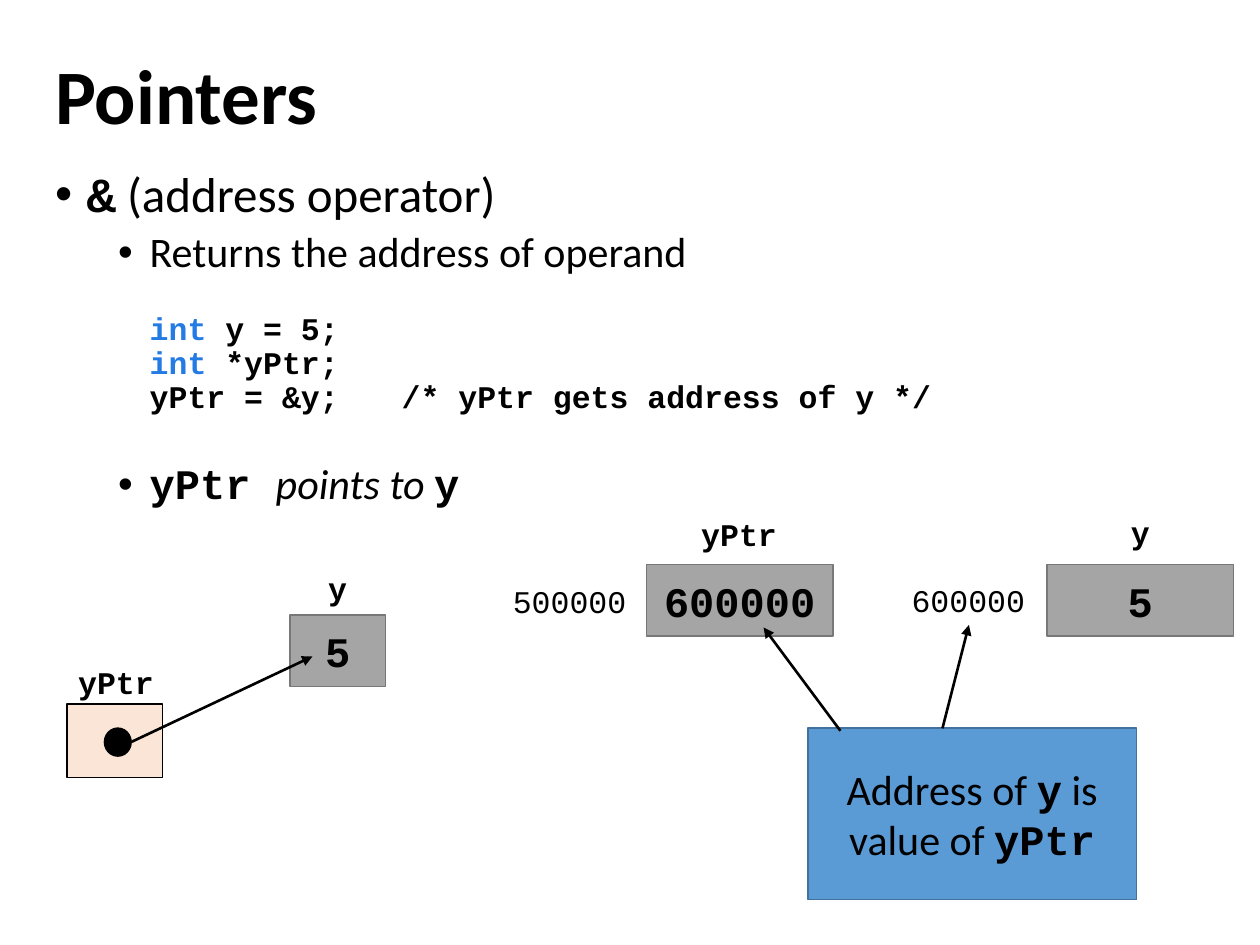
from lxml import etree
from pptx import Presentation
from pptx import util as u
from pptx.dml.color import RGBColor
from pptx.enum import shapes, text
from pptx.oxml.ns import qn

SANS, MONO = "Calibri", "Courier New"
BLACK, GRAY, GRAY_EDGE = "000000", "A5A5A5", "787878"
PEACH, BLUE, BLUE_EDGE, KEYWORD = "FBE5D6", "5B9BD5", "41719C", "247BE4"
CODE = {"name": MONO, "bold": True}
INT = ("int ", {"color": KEYWORD})


def rgb(value):
    return RGBColor.from_string(value)


def set_font(font, size=None, name=None, color=None, bold=None, italic=None):
    if size:
        font.size = u.Pt(size)
    if name:
        font.name = name
    if color:
        font.color.rgb = rgb(color)
    if bold is not None:
        font.bold = bold
    if italic is not None:
        font.italic = italic


def write(paragraph, runs, size, name=SANS, color=BLACK, bold=False):
    """Runs are (text, font differences) pairs."""
    set_font(paragraph.font, size, name, color, bold)
    for words, differences in runs:
        run = paragraph.add_run()
        run.text = words
        set_font(run.font, **differences)


def add_text(slide, left, top, width, height, anchor=text.MSO_ANCHOR.TOP):
    box = slide.shapes.add_textbox(*map(u.Inches, (left, top, width, height)))
    frame = box.text_frame
    frame.word_wrap = True
    frame.vertical_anchor = anchor
    return frame


def add_label(slide, words, left, top, width, bold=True):
    paragraph = add_text(slide, left, top, width, 0.4).paragraphs[0]
    paragraph.alignment = text.PP_ALIGN.CENTER
    write(paragraph, [(words, {})], 18, MONO, bold=bold)


def add_block(slide, left, top, width, height, fill, edge, runs=(),
              kind=shapes.MSO_SHAPE.RECTANGLE, **font):
    shape = slide.shapes.add_shape(kind, *map(u.Inches, (left, top, width, height)))
    shape.shadow.inherit = False
    shape.fill.solid()
    shape.fill.fore_color.rgb = rgb(fill)
    shape.line.color.rgb = rgb(edge)
    shape.line.width = u.Pt(1)
    if runs:
        shape.text_frame.word_wrap = True
        shape.text_frame.vertical_anchor = text.MSO_ANCHOR.MIDDLE
        paragraph = shape.text_frame.paragraphs[0]
        paragraph.alignment = text.PP_ALIGN.CENTER
        write(paragraph, runs, 24, **font)


def add_cell(slide, value, left, top, width):
    add_block(slide, left, top, width, 0.57, GRAY, GRAY_EDGE, [(value, {})], **CODE)


def add_arrow(slide, x1, y1, x2, y2):
    arrow = slide.shapes.add_connector(
        shapes.MSO_CONNECTOR.STRAIGHT, *map(u.Inches, (x1, y1, x2, y2)))
    arrow.line.color.rgb = rgb(BLACK)
    arrow.line.width = u.Pt(1.5)
    etree.SubElement(arrow.line._get_or_add_ln(), qn("a:tailEnd"), type="triangle")
    etree.SubElement(arrow._element.spPr, qn("a:effectLst"))


def set_indent(paragraph, margin, bullet=False, tab=None):
    properties = paragraph._p.get_or_add_pPr()
    properties.set("marL", str(u.Inches(margin)))
    properties.set("indent", str(u.Inches(-0.25 if bullet else 0)))
    extras = []
    if bullet:
        extras += [etree.Element(qn("a:buFont"), typeface="Arial"),
                   etree.Element(qn("a:buChar"), char="•")]
    else:
        extras.append(etree.Element(qn("a:buNone")))
    if tab:
        stops = etree.Element(qn("a:tabLst"))
        etree.SubElement(stops, qn("a:tab"), pos=str(u.Inches(tab)), algn="l")
        extras.append(stops)
    # These come before the paragraph's default font
    default_font = properties.find(qn("a:defRPr"))
    for extra in extras:
        default_font.addprevious(extra)


def add_title(slide, left, top, width, height):
    frame = add_text(slide, left, top, width, height, text.MSO_ANCHOR.MIDDLE)
    paragraph = frame.paragraphs[0]
    paragraph.line_spacing = 0.9
    write(paragraph, [("Pointers", {})], 44, bold=True)


def add_body(slide, left, top, width, height):
    frame = add_text(slide, left, top, width, height)
    plain = {"name": SANS, "bold": False}
    # Runs, size, margin, space before, bullet, font
    rows = [
        ([("&", CODE), (" (address operator)", {})], 28, 0.25, 10, True, {}),
        ([("Returns the address of operand", {})], 24, 0.75, 5, True, {}),
        ([INT, ("y = 5;", {})], 18, 0.75, 20.5, False, CODE),
        ([INT, ("*yPtr;", {})], 18, 0.75, 0, False, CODE),
        ([("yPtr = &y;\t/* yPtr gets address of y */", {})], 18, 0.75, 0, False, CODE),
        ([("yPtr ", {}), ("points to ", {**plain, "italic": True}), ("y", {})],
         24, 0.75, 28, True, CODE),
    ]
    for index, (runs, size, margin, before, bullet, font) in enumerate(rows):
        paragraph = frame.paragraphs[0] if index == 0 else frame.add_paragraph()
        paragraph.level = 0 if index == 0 else 1
        paragraph.line_spacing = 0.9 if bullet else u.Pt(19.4)
        paragraph.space_before = u.Pt(before)
        write(paragraph, runs, size, **font)
        set_indent(paragraph, margin, bullet, tab=None if bullet else 2)


def add_pointer_diagram(slide, left, top):
    # Variable y
    add_cell(slide, "5", left + 1.87, top + 0.41, 0.76)
    add_label(slide, "y", left + 1.87, top, 0.76)
    # Pointer variable with its dot and arrow
    add_block(slide, left + 0.1, top + 1.12, 0.76, 0.58, PEACH, BLACK)
    add_label(slide, "yPtr", left, top + 0.74, 0.98)
    add_block(slide, left + 0.4, top + 1.31, 0.21, 0.22, BLACK, BLACK,
              kind=shapes.MSO_SHAPE.OVAL)
    add_arrow(slide, left + 0.61, top + 1.42, left + 2.05, top + 0.74)


def add_memory_diagram(slide, left, top):
    # Memory cells with names and addresses
    add_cell(slide, "600000", left + 1.27, top + 0.46, 1.48)
    add_cell(slide, "5", left + 4.45, top + 0.46, 1.48)
    add_label(slide, "y", left + 4.45, top, 1.48)
    add_label(slide, "yPtr", left + 1.16, top + 0.02, 1.69)
    add_label(slide, "600000", left + 3.26, top + 0.54, 1.13, bold=False)
    add_label(slide, "500000", left, top + 0.55, 1.32, bold=False)
    # Explanation and its arrows
    add_block(slide, left + 2.55, top + 1.76, 2.61, 1.36, BLUE, BLUE_EDGE,
              [("Address of ", {}), ("y", CODE), (" is value of ", {}), ("yPtr", CODE)])
    add_arrow(slide, left + 3.62, top + 1.76, left + 3.83, top + 0.94)
    add_arrow(slide, left + 2.81, top + 1.78, left + 2.2, top + 0.96)


def main():
    presentation = Presentation()
    presentation.slide_width = u.Inches(10)
    presentation.slide_height = u.Inches(7.5)
    slide = presentation.slides.add_slide(presentation.slide_layouts[6])
    add_title(slide, 0.34, 0.4, 9.34, 0.78)
    add_body(slide, 0.34, 1.3, 9.34, 5.48)
    add_pointer_diagram(slide, 0.43, 4.47)
    add_memory_diagram(slide, 3.86, 4.02)
    presentation.save("out.pptx")


if __name__ == "__main__":
    main()
